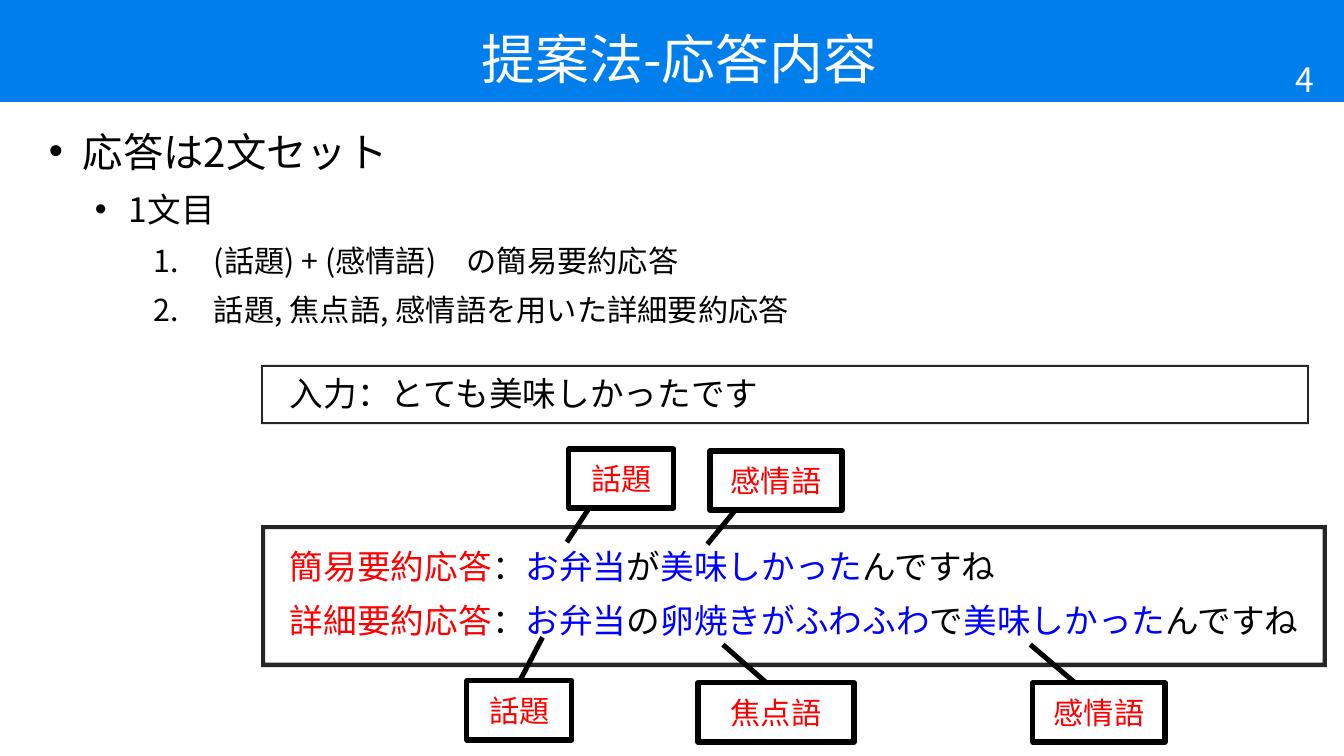
from typing import NamedTuple

from lxml import etree
from pptx import Presentation
from pptx import util as u
from pptx.dml.color import RGBColor
from pptx.enum import shapes, text
from pptx.oxml.ns import qn

SCALE = 914400 / 121
FONT = "Noto Sans CJK JP"
BLACK, WHITE, RED, BLUE = "000000", "FFFFFF", "FF0000", "0000FF"
BAND, FRAME = "007EEB", "262626"
KIND = shapes.MSO_SHAPE
LEFT, MID = text.PP_ALIGN.LEFT, text.PP_ALIGN.CENTER


class Box(NamedTuple):
    x: int
    y: int
    w: int
    h: int


class Item(NamedTuple):
    words: str
    size: int
    level: int
    left: int
    hang: int
    space: float
    mark: str


class Reply(NamedTuple):
    box: Box
    bits: list[tuple[str, str]]


class Label(NamedTuple):
    words: str
    box: Box
    tail: tuple[float, ...]


class Edge(NamedTuple):
    box: Box
    thick: float


def px(n: float) -> int:
    return round(n * SCALE)


def tint(code: str) -> RGBColor:
    return RGBColor.from_string(code)


def style(run, size: int, code: str) -> None:
    run.font.size = u.Pt(size)
    run.font.name = FONT
    run.font.color.rgb = tint(code)
    etree.SubElement(run._r.get_or_add_rPr(), qn("a:ea"), typeface=FONT)


def place(shape, box: Box) -> None:
    shape.left, shape.top, shape.width, shape.height = map(px, box)


def center(shape, words: str, size: int, code: str) -> None:
    frame = shape.text_frame
    frame.text = words
    frame.word_wrap = True
    frame.auto_size = text.MSO_AUTO_SIZE.NONE
    frame.vertical_anchor = text.MSO_ANCHOR.MIDDLE
    para = frame.paragraphs[0]
    para.alignment = MID
    style(para.runs[0], size, code)


def field(slide, box: Box):
    shape = slide.shapes.add_textbox(*map(px, box))
    shape.text_frame.word_wrap = True
    return shape


def solid(slide, kind, box: Box, fill: str):
    shape = slide.shapes.add_shape(kind, *map(px, box))
    shape.shadow.inherit = False
    shape.fill.solid()
    shape.fill.fore_color.rgb = tint(fill)
    shape.line.fill.background()
    return shape


def border(slide, edge: Edge) -> None:
    shape = solid(slide, KIND.FRAME, edge.box, FRAME)
    shape.adjustments[0] = edge.thick


def callout(slide, label: Label) -> None:
    shape = solid(slide, KIND.LINE_CALLOUT_1, label.box, WHITE)
    for i, val in enumerate(label.tail):
        shape.adjustments[i] = val
    shape.line.color.rgb = tint(BLACK)
    shape.line.width = u.Pt(3)
    center(shape, label.words, 18, RED)


def reply(slide, line: Reply) -> None:
    para = field(slide, line.box).text_frame.paragraphs[0]
    for words, code in line.bits:
        run = para.add_run()
        run.text = words
        style(run, 20, code)


def outline(slide, box: Box, items: list[Item]) -> None:
    frame = field(slide, box).text_frame
    frame.text = "\n".join(item.words for item in items)
    for para, item in zip(frame.paragraphs, items):
        para.level = item.level
        para.alignment = LEFT
        para.line_spacing = 1.1
        para.space_before = u.Pt(item.space)
        style(para.runs[0], item.size, BLACK)
        prop = para._p.get_or_add_pPr()
        prop.set("marL", str(px(item.left)))
        prop.set("indent", str(px(-item.hang)))
        if item.mark == "•":
            etree.SubElement(prop, qn("a:buFont"), typeface="Arial")
            etree.SubElement(prop, qn("a:buChar"), char=item.mark)
        else:
            etree.SubElement(prop, qn("a:buFont"), typeface=FONT)
            etree.SubElement(prop, qn("a:buAutoNum"), type=item.mark)


ITEMS = [
    Item("応答は2文セット", 24, 0, 34, 34, 11.1, "•"),
    Item("1文目", 20, 1, 80, 34, 5.6, "•"),
    Item("(話題) + (感情語)　の簡易要約応答", 18, 2, 165, 60, 5.6, "arabicPeriod"),
    Item("話題, 焦点語, 感情語を用いた詳細要約応答", 18, 2, 165, 60, 5.6, "arabicPeriod"),
]

EDGES = [
    Edge(Box(261, 525, 1066, 142), 0.03),
    Edge(Box(261, 365, 1048, 59), 0.03),
]

LINES = [
    Reply(Box(278, 367, 802, 53), [("入力：とても美味しかったです", BLACK)]),
    Reply(Box(278, 540, 862, 53), [
        ("簡易要約応答", RED), ("：", BLACK), ("お弁当", BLUE), ("が", BLACK),
        ("美味しかった", BLUE), ("んですね", BLACK)]),
    Reply(Box(278, 594, 1066, 53), [
        ("詳細要約応答", RED), ("：", BLACK), ("お弁当", BLUE), ("の", BLACK),
        ("卵焼きがふわふわ", BLUE), ("で", BLACK),
        ("美味しかった", BLUE), ("んですね", BLACK)]),
]

DOWN = (0.98, 0.2, 1.58, -0.02)
LABELS = [
    Label("話題", Box(569, 449, 105, 59), DOWN),
    Label("感情語", Box(710, 451, 132, 59), DOWN),
    Label("話題", Box(467, 681, 105, 59), (-0.74, 0.72, 0.01, 0.5)),
    Label("感情語", Box(1033, 683, 132, 59), (-0.02, 0.31, -0.65, -0.02)),
    Label("焦点語", Box(698, 683, 156, 59), (0, 0.44, -0.65, 0.16)),
]

deck = Presentation()
deck.slide_width, deck.slide_height = px(1344), px(756)
page = deck.slides.add_slide(deck.slide_layouts[5])

band = solid(page, KIND.RECTANGLE, Box(0, 0, 1344, 102), BAND)
page.shapes._spTree.insert(2, band._element)

title = page.shapes.title
place(title, Box(37, 18, 1273, 83))
center(title, " 提案法-応答内容", 32, WHITE)
title.text_frame.margin_top = px(12)
title.text_frame.margin_bottom = px(6)
title.text_frame.paragraphs[0].line_spacing = 0.9

outline(page, Box(37, 116, 1273, 624), ITEMS)
center(field(page, Box(1268, 59, 74, 40)), "4", 20, WHITE)
for edge in EDGES:
    border(page, edge)
for line in LINES:
    reply(page, line)
for label in LABELS:
    callout(page, label)

deck.save("out.pptx")
